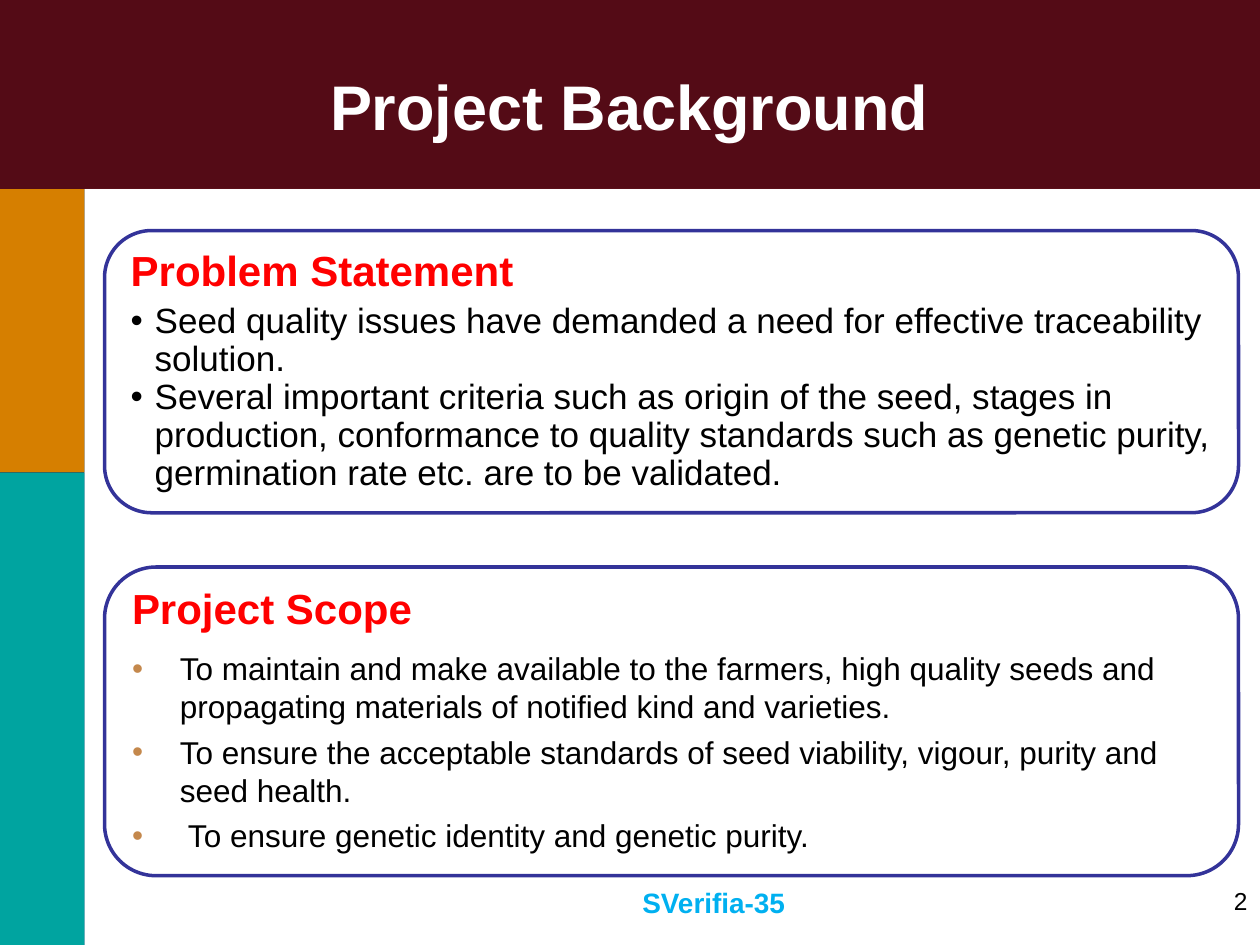
from lxml.etree import SubElement
from pptx import Presentation
from pptx.dml.color import RGBColor
from pptx.enum.shapes import MSO_SHAPE
from pptx.enum.text import MSO_ANCHOR, PP_ALIGN
from pptx.oxml.ns import qn
from pptx.util import Inches, Pt

NAVY = RGBColor(0x00, 0x33, 0x66)
MAROON = RGBColor(0x6C, 0x00, 0x00)
ORANGE = RGBColor(0xD6, 0x7F, 0x00)
TEAL = RGBColor(0x00, 0xA4, 0xA0)
INDIGO = RGBColor(0x33, 0x33, 0x99)
RED = RGBColor(0xFF, 0x00, 0x00)
TAN = RGBColor(0xC4, 0x88, 0x4C)
SKY = RGBColor(0x00, 0xB0, 0xF0)
BLACK = RGBColor(0x00, 0x00, 0x00)
WHITE = RGBColor(0xFF, 0xFF, 0xFF)

FONT = "Arial"
SIDEBAR_WIDTH = 0.67
HEADER_HEIGHT = 1.5

PROBLEMS = [
    "Seed quality issues have demanded a need for effective traceability solution.",
    "Several important criteria such as origin of the seed, stages in production, "
    "conformance to quality standards such as genetic purity, germination rate etc. "
    "are to be validated.",
]
SCOPE = [
    "To maintain and make available to the farmers, high quality seeds and "
    "propagating materials of notified kind and varieties.",
    "To ensure the acceptable standards of seed viability, vigour, purity and seed health.",
    " To ensure genetic identity and genetic purity.",
]


def set_font(paragraph, size, color, bold=False):
    """Give a paragraph its font, size, colour and weight."""
    font = paragraph.font
    font.name, font.size, font.bold = FONT, Pt(size), bold
    font.color.rgb = color


def set_indent(paragraph, indent, bullet_color=None):
    """Hang a paragraph by an indent, with a coloured bullet if asked."""
    properties = paragraph._p.get_or_add_pPr()
    properties.set("marL", str(Inches(indent)))
    properties.set("indent", str(-Inches(indent)))
    if bullet_color is not None:
        bullet_fill = SubElement(properties, qn("a:buClr"))
        SubElement(bullet_fill, qn("a:srgbClr"), val=str(bullet_color))
        SubElement(properties, qn("a:buFont"), typeface=FONT)
        SubElement(properties, qn("a:buChar"), char="•")


def add_filled_shape(slide, preset, left, top, width, height, color):
    """Add a flat filled shape without an outline."""
    shape = slide.shapes.add_shape(
        preset, Inches(left), Inches(top), Inches(width), Inches(height))
    shape.shadow.inherit = False
    shape.fill.solid()
    shape.fill.fore_color.rgb = color
    shape.line.fill.background()
    return shape


def add_band(slide, left, top, width, height, color, opacity=100):
    """Add a background band behind the title."""
    band = add_filled_shape(slide, MSO_SHAPE.RECTANGLE, left, top, width, height, color)
    if opacity < 100:
        color_element = band._element.spPr.find(qn("a:solidFill"))[0]
        SubElement(color_element, qn("a:alpha"), val=str(opacity * 1000))
    slide.shapes.title._element.addprevious(band._element)


def set_title(slide, text):
    """Place and format the slide title."""
    title = slide.shapes.title
    title.left, title.top = Inches(0.33), Inches(0.25)
    title.width, title.height = Inches(9.33), Inches(1.17)
    title.text_frame.text = text
    title.text_frame.vertical_anchor = MSO_ANCHOR.MIDDLE
    heading = title.text_frame.paragraphs[0]
    heading.alignment = PP_ALIGN.CENTER
    set_font(heading, 36, WHITE, bold=True)


def add_panel(slide, top, height, heading, points, size, indent, bullet_color,
              line_spacing, space_before):
    """Add a rounded panel with a heading and bulleted points."""
    panel = add_filled_shape(
        slide, MSO_SHAPE.ROUNDED_RECTANGLE, 0.83, top, 9, height, WHITE)
    panel.adjustments[0] = 0.167
    panel.line.color.rgb = INDIGO
    panel.line.width = Pt(2)
    frame = panel.text_frame
    frame.word_wrap = True
    frame.vertical_anchor = MSO_ANCHOR.TOP
    header = frame.paragraphs[0]
    header.text = heading
    header.alignment = PP_ALIGN.LEFT
    header.line_spacing = 0.9
    header.space_after = Pt(4.5)
    set_indent(header, 0.19)
    set_font(header, 24, RED, bold=True)
    for point in points:
        item = frame.add_paragraph()
        item.text = point
        item.alignment = PP_ALIGN.LEFT
        item.line_spacing = line_spacing
        item.space_before = Pt(space_before)
        set_indent(item, indent, bullet_color)
        set_font(item, size, BLACK)


def add_footer(slide, left, width, text, alignment, size, color, bold=False,
               right_margin=0.1):
    """Add a line of text at the foot of the slide."""
    footer = slide.shapes.add_textbox(
        Inches(left), Inches(6.98), Inches(width), Inches(0.52))
    frame = footer.text_frame
    frame.word_wrap = True
    frame.margin_right = Inches(right_margin)
    frame.text = text
    frame.paragraphs[0].alignment = alignment
    set_font(frame.paragraphs[0], size, color, bold)


def main():
    """Build the project background slide."""
    deck = Presentation()
    deck.slide_width, deck.slide_height = Inches(10), Inches(7.5)
    slide = deck.slides.add_slide(deck.slide_layouts[5])
    slide.background.fill.solid()
    slide.background.fill.fore_color.rgb = NAVY

    add_band(slide, SIDEBAR_WIDTH, HEADER_HEIGHT, 10 - SIDEBAR_WIDTH, 6, WHITE)
    add_band(slide, 0, 0, 10, HEADER_HEIGHT, MAROON, opacity=78)
    add_band(slide, 0, HEADER_HEIGHT, SIDEBAR_WIDTH, 2.25, ORANGE)
    add_band(slide, 0, 3.75, SIDEBAR_WIDTH, 3.75, TEAL)
    set_title(slide, "Project Background")

    add_panel(slide, 1.83, 2.24, "Problem Statement", PROBLEMS, size=20, indent=0.19,
              bullet_color=BLACK, line_spacing=0.9, space_before=0)
    add_panel(slide, 4.5, 2.45, "Project Scope", SCOPE, size=18, indent=0.38,
              bullet_color=TAN, line_spacing=1.0, space_before=4.5)

    add_footer(slide, 7.67, 2.33, "2", PP_ALIGN.RIGHT, 14, BLACK)
    add_footer(slide, 4.83, 1.92, "SVerifia-35", PP_ALIGN.CENTER, 16, SKY, bold=True,
               right_margin=0.35)
    deck.save("out.pptx")


if __name__ == "__main__":
    main()
